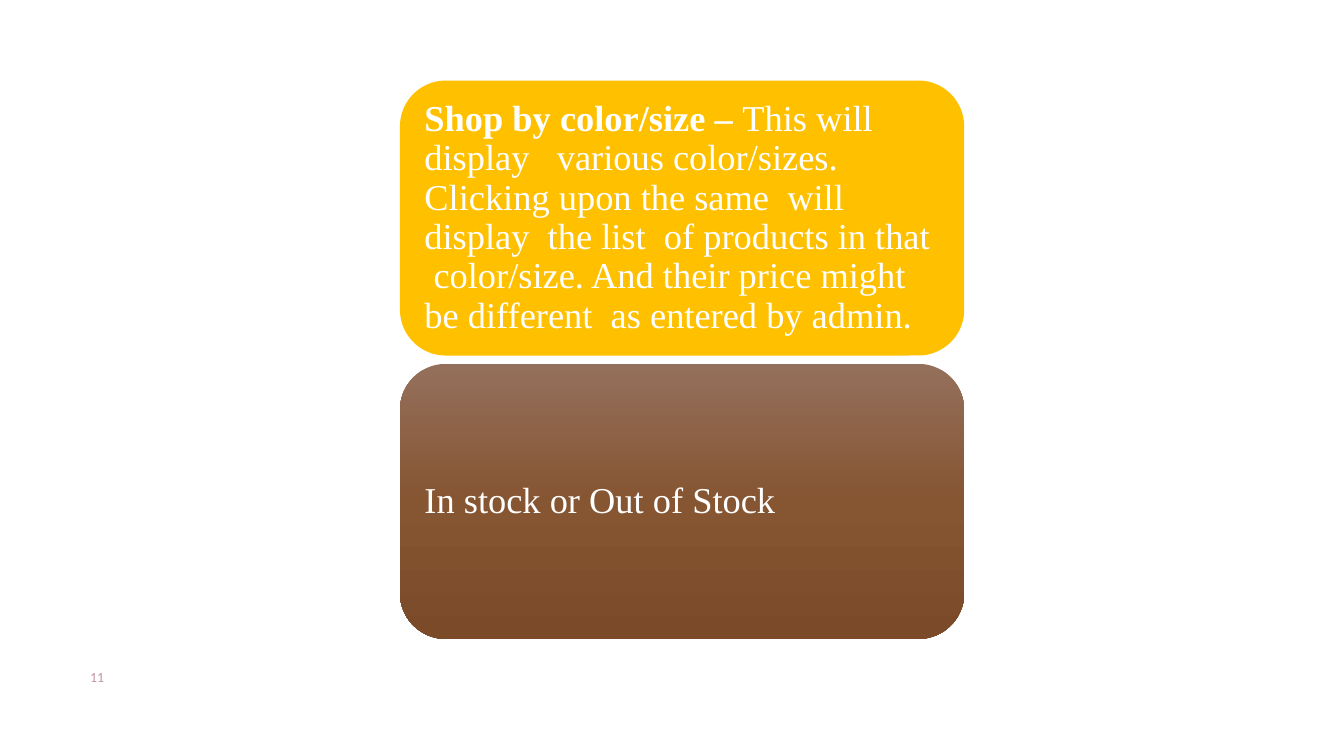
from copy import deepcopy
from dataclasses import dataclass

from pptx import Presentation
from pptx.dml.color import RGBColor
from pptx.enum.shapes import MSO_SHAPE as Preset
from pptx.enum.text import MSO_ANCHOR as Anchor, PP_ALIGN as Align
from pptx.oxml.ns import qn
from pptx.shapes.autoshape import Shape
from pptx.slide import Slide
from pptx.util import Cm, Pt

CARD_LEFT, CARD_TOP = 10.08, 2.03
CARD_WIDTH, CARD_HEIGHT = 14.22, 6.93
CARD_PITCH = 7.14
CARD_INSET = 0.28


@dataclass(frozen=True)
class Card:
    heading: str
    body: str
    colors: tuple[str, ...]


CARDS = (
    Card(
        "Shop by color/size – ",
        "This will display   various color/sizes. Clicking upon the same  will "
        "display  the list  of products in that  color/size. And their price "
        "might be different  as entered by admin.",
        ("FFC000",),
    ),
    Card("", "In stock or Out of Stock", ("94705C", "865532", "7A4A29")),
)


def color(value: str) -> RGBColor:
    return RGBColor.from_string(value)


def fill_shape(shape: Shape, colors: tuple[str, ...]) -> None:
    if len(colors) == 1:
        shape.fill.solid()
        shape.fill.fore_color.rgb = color(colors[0])
        return
    shape.fill.gradient()
    shape.fill.gradient_angle = 270
    stop_list = shape._element.spPr.find(qn("a:gradFill")).find(qn("a:gsLst"))
    while len(stop_list) < len(colors):
        stop_list.append(deepcopy(stop_list[0]))
    for index, (stop, value) in enumerate(zip(shape.fill.gradient_stops, colors)):
        stop.position = index / (len(colors) - 1)
        stop.color.rgb = color(value)


def add_card(slide: Slide, card: Card, index: int) -> None:
    shape = slide.shapes.add_shape(
        Preset.ROUNDED_RECTANGLE,
        Cm(CARD_LEFT), Cm(CARD_TOP + index * CARD_PITCH),
        Cm(CARD_WIDTH), Cm(CARD_HEIGHT),
    )
    shape.shadow.inherit = False
    shape.line.fill.background()
    fill_shape(shape, card.colors)

    frame = shape.text_frame
    frame.word_wrap = True
    frame.vertical_anchor = Anchor.MIDDLE
    frame.margin_left = frame.margin_right = Cm(CARD_INSET)
    frame.margin_top = frame.margin_bottom = Cm(CARD_INSET)

    paragraph = frame.paragraphs[0]
    paragraph.alignment = Align.LEFT
    paragraph.line_spacing = 0.9
    paragraph.font.name = "Times New Roman"
    paragraph.font.size = Pt(26)
    paragraph.font.color.rgb = color("FFFFFF")
    if card.heading:
        heading = paragraph.add_run()
        heading.text = card.heading
        heading.font.bold = True
    paragraph.add_run().text = card.body


def add_page_number(slide: Slide, number: str) -> None:
    box = slide.shapes.add_textbox(Cm(1.78), Cm(16.84), Cm(1.09), Cm(0.66))
    frame = box.text_frame
    frame.word_wrap = True
    frame.margin_left = Cm(0.25)
    frame.margin_right = frame.margin_top = frame.margin_bottom = Cm(0)
    paragraph = frame.paragraphs[0]
    paragraph.text = number
    paragraph.alignment = Align.CENTER
    paragraph.font.name = "Calibri"
    paragraph.font.size = Pt(10)
    paragraph.font.color.rgb = color("C396A7")


def main() -> None:
    presentation = Presentation()
    presentation.slide_width = Cm(33.87)
    presentation.slide_height = Cm(19.05)
    slide = presentation.slides.add_slide(presentation.slide_layouts[6])
    add_page_number(slide, "11")
    for index, card in enumerate(CARDS):
        add_card(slide, card, index)
    presentation.save("out.pptx")


if __name__ == "__main__":
    main()
